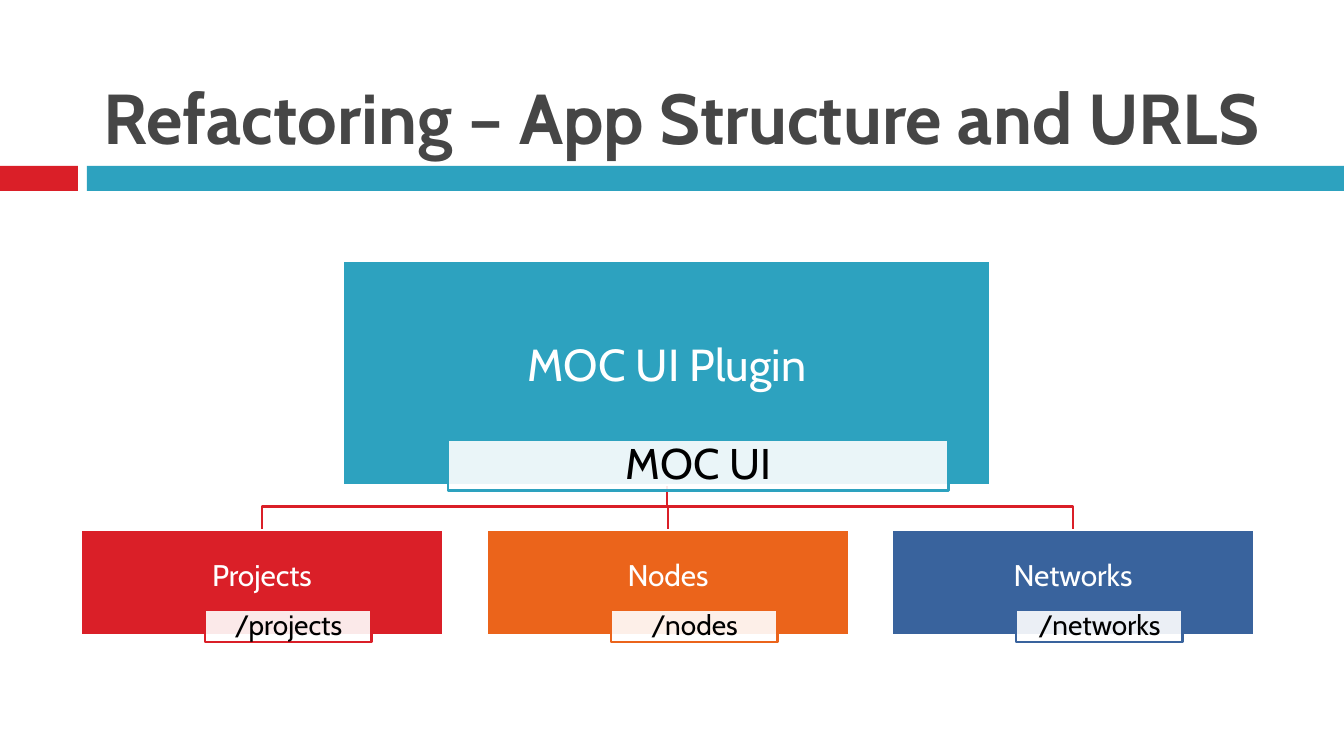
from pptx import Presentation, util as u
from pptx.dml.color import RGBColor
from pptx.enum import shapes, text
from pptx.oxml.ns import qn
from lxml import etree

PX = 914400 / 134.4
FONT = "Cabin"
WHITE = RGBColor(0xFF, 0xFF, 0xFF)
BLACK = RGBColor(0, 0, 0)
GREY = RGBColor(0x46, 0x46, 0x46)
RED = RGBColor(0xDA, 0x1F, 0x28)
TEAL = RGBColor(0x2D, 0xA2, 0xBF)
ORANGE = RGBColor(0xEB, 0x64, 0x1B)
BLUE = RGBColor(0x39, 0x63, 0x9D)


def px(*lengths):
    return [u.Emu(round(n * PX)) for n in lengths]


def add_run(p, words, size, color, bold=False):
    r = p.add_run()
    r.text = words
    f = r.font
    f.name, f.size, f.bold = FONT, u.Pt(size), bold
    f.color.rgb = color


def add_rect(s, box, fill, line=None):
    sp = s.shapes.add_shape(shapes.MSO_SHAPE.RECTANGLE, *px(*box))
    sp.shadow.inherit = False
    sp.fill.solid()
    sp.fill.fore_color.rgb = fill
    if line is None:
        sp.line.fill.background()
    else:
        sp.line.color.rgb = line
        sp.line.width = u.Pt(1.5)
    return sp


def add_label(sp, words, size, color, side, bottom):
    tf = sp.text_frame
    tf.word_wrap = True
    tf.vertical_anchor = text.MSO_ANCHOR.MIDDLE
    tf.margin_left, tf.margin_right, tf.margin_top, tf.margin_bottom = px(side, side, 2, bottom)
    p = tf.paragraphs[0]
    p.alignment = text.PP_ALIGN.CENTER
    p.line_spacing = 0.9
    add_run(p, words, size, color)


def add_header(s, box, words):
    x, y, w, h = box
    add_rect(s, (x, y + h - 25, 78, 25), RED)
    add_rect(s, (x + 87, y + h - 25, w - 87, 25), TEAL)
    title = s.shapes.title
    title.left, title.top, title.width, title.height = px(x + 90, y + 17, 1199, 148)
    tf = title.text_frame
    tf.word_wrap = True
    tf.auto_size = text.MSO_AUTO_SIZE.NONE
    tf.vertical_anchor = text.MSO_ANCHOR.BOTTOM
    p = tf.paragraphs[0]
    p.alignment = text.PP_ALIGN.LEFT
    add_run(p, words, 37.8, GREY, True)


def add_node(s, box, tag_box, color, name, url, sizes):
    x, y, w, h = box
    dx, dy, tag_w, tag_h = tag_box
    add_label(add_rect(s, box, color, WHITE), name, sizes[0], WHITE, 2, 14)
    tag = add_rect(s, (x + dx, y + dy, tag_w, tag_h), WHITE, color)
    clr = tag.fill._xPr.find(qn("a:solidFill"))[0]
    etree.SubElement(clr, qn("a:alpha"), val="90000")
    add_label(tag, url, sizes[1], BLACK, 6, 2)


def add_branch(s, start, end):
    (x1, y1), (x2, y2) = start, end
    if x1 == x2:
        sp = s.shapes.add_connector(shapes.MSO_CONNECTOR.STRAIGHT, *px(x1, y1, x2, y2))
        etree.SubElement(sp.line._get_or_add_ln().getparent(), qn("a:effectLst"))
    else:
        mid = (y1 + y2) // 2
        fb = s.shapes.build_freeform(x1, y1, scale=PX)
        fb.add_line_segments([(x1, mid), (x2, mid), (x2, y2)], close=False)
        sp = fb.convert_to_shape()
        sp.shadow.inherit = False
        sp.fill.background()
    sp.line.color.rgb = RED
    sp.line.width = u.Pt(1.5)


def add_app_tree(s, box, root, apps):
    x, y, w, h = box
    child_w, child_h = 362, 106
    pitch = (w - child_w) / (len(apps) - 1)
    root_box = (x + 262, y, 648, 224)
    children = [(x + round(i * pitch), y + h - child_h, child_w, child_h)
                for i in range(len(apps))]
    stem = (x + w // 2, y + 224)
    for cx, cy, cw, ch in reversed(children):
        add_branch(s, stem, (cx + cw // 2, cy))
    add_node(s, root_box, (105, 179, 501, 51), TEAL, *root, (24, 23))
    for child, (name, url, color) in zip(children, apps):
        add_node(s, child, (124, 80, 167, 32), color, name, url, (16, 15))


prs = Presentation()
prs.slide_width, prs.slide_height = px(1344, 756)
s = prs.slides.add_slide(prs.slide_layouts[5])
add_header(s, (0, 0, 1344, 191), "Refactoring – App Structure and URLS")
add_app_tree(s, (81, 261, 1173, 375), ("MOC UI Plugin", "MOC UI"), [
    ("Projects", "/projects", RED),
    ("Nodes", "/nodes", ORANGE),
    ("Networks", "/networks", BLUE),
])
prs.save("out.pptx")
